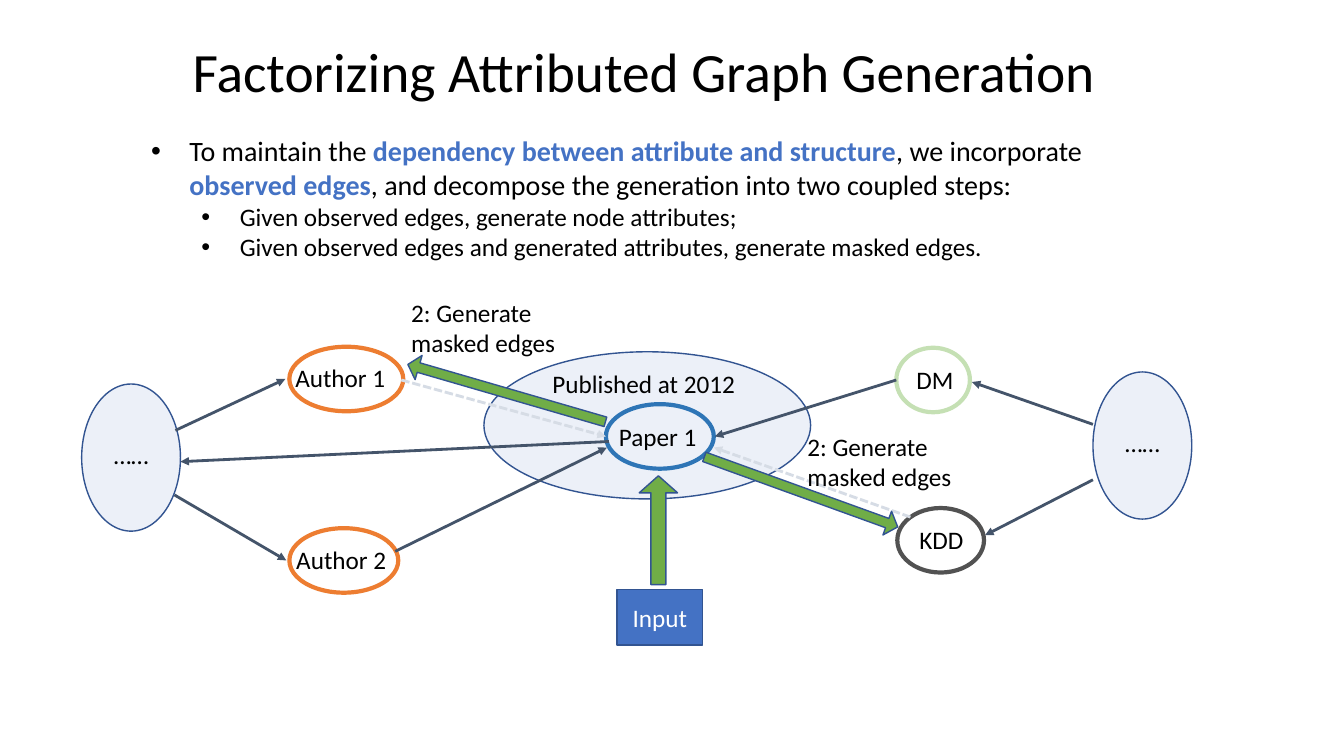
from lxml import etree
from pptx import Presentation
from pptx.dml.color import RGBColor
from pptx.enum.dml import MSO_LINE
from pptx.enum.shapes import MSO_CONNECTOR, MSO_SHAPE
from pptx.enum.text import MSO_ANCHOR, MSO_AUTO_SIZE, PP_ALIGN
from pptx.oxml.ns import qn
from pptx.util import Inches, Pt

FONT = "Calibri"
BLACK, WHITE, BLUE, NAVY = "000000", "FFFFFF", "4472C4", "325491"
PALE, GREEN, SLATE, MIST, ORANGE = "DAE3F3", "70AD47", "44546A", "D6DCE5", "ED7D31"

TITLE = "Factorizing Attributed Graph Generation"
# indent, size, [(text, highlighted)]
BULLETS = [
    (0.38, 20, [("To maintain the ", False),
                ("dependency between attribute and structure", True),
                (", we incorporate ", False),
                ("observed edges", True),
                (", and decompose the generation into two coupled steps:", False)]),
    (0.88, 18, [("Given observed edges, generate node attributes;", False)]),
    (0.88, 18, [("Given observed edges and generated attributes, "
                 "generate masked edges.", False)]),
]
# left, top, width, height
CLOUDS = [(4.8, 3.49, 3.24, 1.46), (0.81, 3.81, 0.98, 1.46), (10.84, 3.69, 0.98, 1.46)]
# left, top, width, outline, fill
NODE_HEIGHT = 0.64
NODES = [
    (2.87, 3.44, 1.13, ORANGE, None),
    (2.87, 5.24, 1.08, ORANGE, None),
    (8.89, 3.45, 0.73, "C5E0B4", None),
    (6.01, 4.01, 1.07, "2E75B6", None),
    (8.9, 5.04, 0.86, "525252", WHITE),
]
# text, left, top, width, height
LABELS = [
    ("Author 1", 2.83, 3.55, 1.92, 0.4),
    ("Author 2", 2.84, 5.35, 1.84, 0.4),
    ("DM", 8.99, 3.57, 0.65, 0.4),
    ("Paper 1", 6.04, 4.13, 2.13, 0.4),
    ("KDD", 9.02, 5.15, 0.74, 0.4),
    ("Published at 2012", 5.38, 3.61, 2.84, 0.4),
    ("……", 1.03, 4.31, 0.91, 0.4),
    ("……", 11.06, 4.19, 0.91, 0.4),
    ("2: Generate masked edges", 3.98, 2.9, 1.74, 0.71),
    ("2: Generate masked edges", 7.91, 4.23, 1.74, 0.71),
]
# from x, from y, to x, to y
OBSERVED_EDGES = [
    (3.92, 5.47, 6.02, 4.44), (8.89, 3.77, 7.09, 4.33),
    (1.73, 4.91, 2.84, 5.56), (1.74, 4.27, 2.83, 3.76),
    (10.84, 4.76, 9.77, 5.31), (10.84, 4.21, 9.64, 3.79),
    (6.04, 4.38, 1.79, 4.58),
]
MASKED_EDGES = [(9.03, 5.13, 7.08, 4.44), (3.98, 3.77, 6.01, 4.33)]
# left, top, width, height, rotation
STEP_ARROWS = [
    (6.34, 4.72, 0.38, 1.08, 0),
    (7.82, 3.86, 0.25, 2.04, 109.9),
    (4.9, 2.88, 0.25, 2.04, 286.2),
]
INPUT_BOX = (6.12, 5.85, 0.85, 0.55)


def color(hex_string):
    return RGBColor.from_string(hex_string)


def write(paragraph, text, size=18, ink=BLACK, bold=False):
    run = paragraph.add_run()
    run.text = text
    run.font.name = FONT
    run.font.size = Pt(size)
    run.font.bold = bold
    run.font.color.rgb = color(ink)


def add_figure(slide, kind, box, fill=None, outline=NAVY, weight=1, opacity=100):
    figure = slide.shapes.add_shape(kind, *map(Inches, box))
    figure.shadow.inherit = False
    figure.line.color.rgb = color(outline)
    figure.line.width = Pt(weight)
    if fill is None:
        figure.fill.background()
        return figure
    figure.fill.solid()
    figure.fill.fore_color.rgb = color(fill)
    if opacity < 100:
        tint = figure.fill._xPr.find(qn("a:solidFill"))[0]
        etree.SubElement(tint, qn("a:alpha"), val=str(opacity * 1000))
    return figure


def add_edge(slide, ends, ink, dash=None):
    edge = slide.shapes.add_connector(MSO_CONNECTOR.STRAIGHT, *map(Inches, ends))
    edge.line.color.rgb = color(ink)
    edge.line.width = Pt(2)
    if dash:
        edge.line.dash_style = dash
    etree.SubElement(edge.line._get_or_add_ln(), qn("a:tailEnd"), type="triangle")
    etree.SubElement(edge._element.spPr, qn("a:effectLst"))


def add_frame(slide, box):
    frame = slide.shapes.add_textbox(*map(Inches, box)).text_frame
    frame.word_wrap = True
    return frame


def add_bullets(slide, box):
    frame = add_frame(slide, box)
    for index, (indent, size, parts) in enumerate(BULLETS):
        paragraph = frame.add_paragraph() if index else frame.paragraphs[0]
        paragraph.level = 1 if index else 0
        properties = paragraph._p.get_or_add_pPr()
        properties.set("marL", str(Inches(indent)))
        properties.set("indent", str(-Inches(0.38)))
        etree.SubElement(properties, qn("a:buFont"), typeface="Arial")
        etree.SubElement(properties, qn("a:buChar"), char="•")
        for text, highlighted in parts:
            write(paragraph, text, size=size, bold=highlighted,
                  ink=BLUE if highlighted else BLACK)


def place_title(slide):
    title = slide.shapes.title
    title.left, title.top, title.width, title.height = map(
        Inches, (1.81, 0.13, 9.65, 1.22))
    frame = title.text_frame
    frame.auto_size = MSO_AUTO_SIZE.NONE
    frame.vertical_anchor = MSO_ANCHOR.MIDDLE
    heading = frame.paragraphs[0]
    heading.alignment = PP_ALIGN.LEFT
    heading.line_spacing = 0.9
    write(heading, TITLE, size=39.6)


def main():
    deck = Presentation()
    deck.slide_width, deck.slide_height = Inches(13.33), Inches(7.5)
    slide = deck.slides.add_slide(deck.slide_layouts[5])
    place_title(slide)

    for cloud in CLOUDS:
        add_figure(slide, MSO_SHAPE.OVAL, cloud, fill=PALE, opacity=50)
    for left, top, width, outline, fill in NODES:
        add_figure(slide, MSO_SHAPE.OVAL, (left, top, width, NODE_HEIGHT),
                   fill=fill, outline=outline, weight=3)
    for ends in OBSERVED_EDGES:
        add_edge(slide, ends, SLATE)
    for ends in MASKED_EDGES:
        add_edge(slide, ends, MIST, MSO_LINE.SQUARE_DOT)

    input_box = add_figure(slide, MSO_SHAPE.RECTANGLE, INPUT_BOX, fill=BLUE)
    input_box.text_frame.vertical_anchor = MSO_ANCHOR.MIDDLE
    caption = input_box.text_frame.paragraphs[0]
    caption.alignment = PP_ALIGN.CENTER
    write(caption, "Input", ink=WHITE)

    for *box, rotation in STEP_ARROWS:
        arrow = add_figure(slide, MSO_SHAPE.UP_ARROW, box, fill=GREEN)
        arrow.rotation = rotation
        arrow.adjustments[0], arrow.adjustments[1] = 0.39, 0.445
    for text, *box in LABELS:
        write(add_frame(slide, box).paragraphs[0], text)
    add_bullets(slide, (1.4, 1.28, 10.3, 1.38))

    deck.save("out.pptx")


if __name__ == "__main__":
    main()
